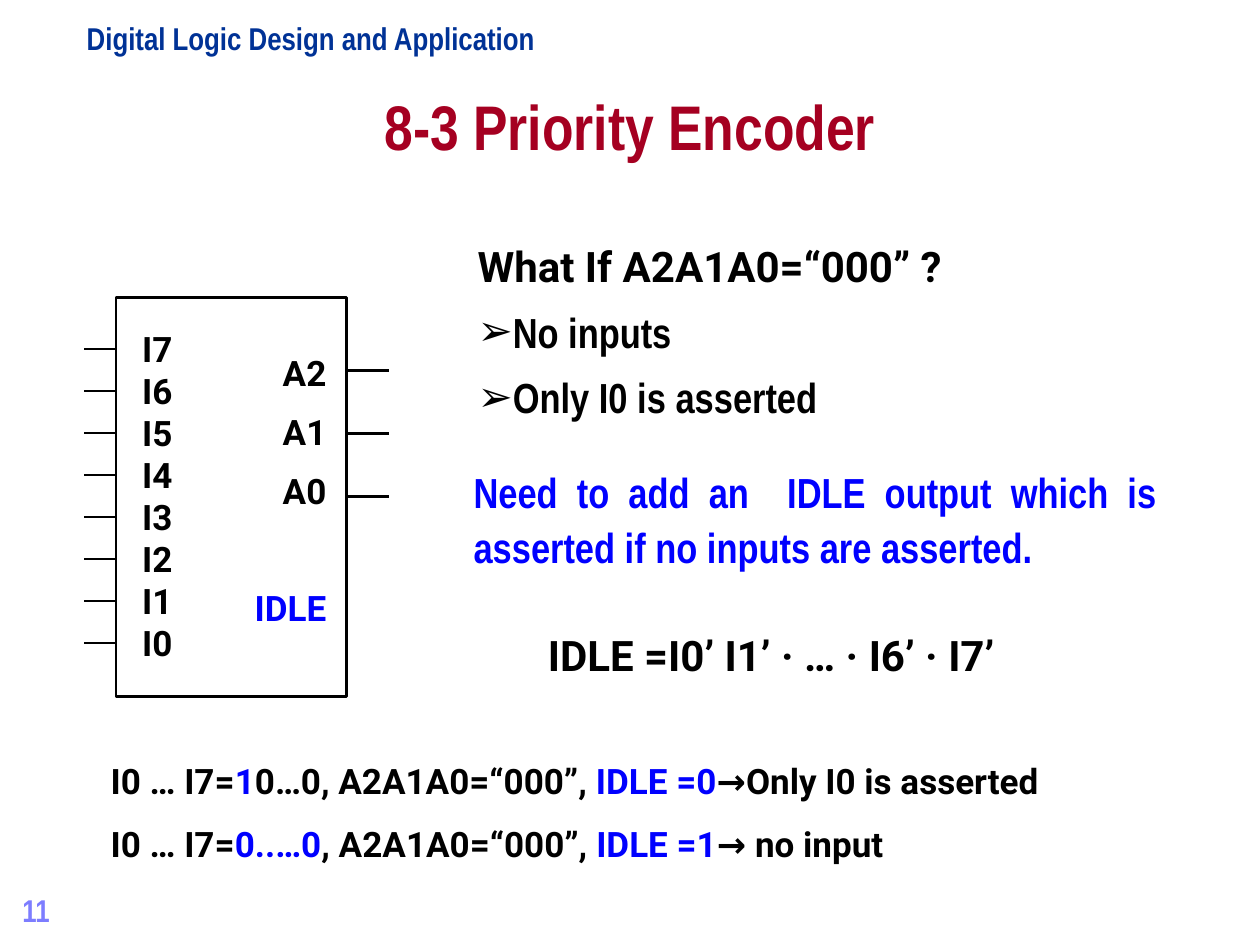
from lxml import etree
from pptx import Presentation
from pptx.dml.color import RGBColor
from pptx.enum import shapes, text
from pptx.oxml.ns import qn
from pptx.util import Inches, Pt

THEME = {
    "narrow": "Arial Narrow", "wide": "Roboto",
    "black": "000000", "blue": "0000FF", "navy": "003296",
    "red": "A50021", "lilac": "7D7DFF",
    "title": 36, "lead": 24, "label": 20, "small": 18, "line": 1.5,
}
ALIGN = text.PP_ALIGN

# Each paragraph is a list of (text, colour) runs.
TITLE = [[("8-3 Priority Encoder", "red")]]
COURSE = [[("Digital Logic Design and Application", "navy")]]
PAGE = [[("11", "lilac")]]
QUESTION = [[("What If A2A1A0=“000” ?", "black")]]
CASES = [[("No inputs", "black")], [("Only I0 is asserted", "black")]]
NEED = [[("Need to add an  IDLE output which is asserted if no inputs are asserted.", "blue")]]
EQUATION = [[("IDLE =I0’ I1’ · … · I6’ · I7’", "black")]]
RESULTS = [
    [("I0 … I7=", "black"), ("1", "blue"), ("0…0, A2A1A0=“000”, ", "black"),
     ("IDLE =0", "blue"), ("→Only I0 is asserted", "black")],
    [("I0 … I7=", "black"), ("0..…0", "blue"), (", A2A1A0=“000”, ", "black"),
     ("IDLE =1", "blue"), ("→ no input", "black")],
]
INPUTS = [[(f"I{i}", "black")] for i in range(7, -1, -1)]
OUTPUTS = [[(f"A{i}", "black")] for i in range(2, -1, -1)]
IDLE = [[("IDLE", "blue")]]

# Encoder block: left, top, width, height, then pin rows
BLOCK = (0.92, 2.36, 1.83, 3.17)
BLOCK_RIGHT = BLOCK[0] + BLOCK[2]
INPUT_PINS = {"count": len(INPUTS), "top": 2.77, "pitch": 1 / 3,
              "start": BLOCK[0] - 0.25, "end": BLOCK[0]}
OUTPUT_PINS = {"count": len(OUTPUTS), "top": 2.94, "pitch": 0.5,
               "start": BLOCK_RIGHT, "end": BLOCK_RIGHT + 0.34}


def color(name):
    return RGBColor.from_string(THEME[name])


def apply(target, values):
    for name, value in values.items():
        setattr(target, name, value)


def place(shape, box):
    apply(shape, dict(zip(("left", "top", "width", "height"), map(Inches, box))))


def write(frame, paragraphs, font, size, **layout):
    """Append paragraphs to a frame, filling its empty first one."""
    for runs in paragraphs:
        paragraph = frame.paragraphs[0] if not frame.text else frame.add_paragraph()
        apply(paragraph, {"alignment": ALIGN.LEFT, "space_before": Pt(0), **layout})
        for words, tint in runs:
            run = paragraph.add_run()
            run.text = words
            apply(run.font, {"name": THEME[font], "size": Pt(THEME[size]), "bold": True})
            run.font.color.rgb = color(tint)


def set_bullet(paragraph, character=None):
    properties = paragraph._p.get_or_add_pPr()
    properties.set("marL", "0")
    properties.set("indent", "0")
    if character:
        etree.SubElement(properties, qn("a:buChar"), char=character)
    else:
        etree.SubElement(properties, qn("a:buNone"))


def add_text(slide, box, paragraphs, font, size, wrap=True,
             anchor=text.MSO_ANCHOR.TOP, **layout):
    shape = slide.shapes.add_textbox(*map(Inches, box))
    apply(shape.text_frame, {"word_wrap": wrap, "vertical_anchor": anchor})
    write(shape.text_frame, paragraphs, font, size, **layout)
    return shape.text_frame


def fill_placeholder(shape, box, anchor):
    place(shape, box)
    apply(shape.text_frame, {"word_wrap": True, "vertical_anchor": anchor,
                             "auto_size": text.MSO_AUTO_SIZE.NONE})
    return shape.text_frame


def add_pins(slide, count, top, pitch, start, end):
    for row in range(count):
        y = Inches(top + row * pitch)
        pin = slide.shapes.add_connector(
            shapes.MSO_CONNECTOR.STRAIGHT, Inches(start), y, Inches(end), y)
        pin.line.color.rgb = color("black")
        pin.line.width = Pt(THEME["line"])
        etree.SubElement(pin._element.spPr, qn("a:effectLst"))


def add_encoder(slide):
    block = slide.shapes.add_shape(shapes.MSO_SHAPE.RECTANGLE, *map(Inches, BLOCK))
    block.shadow.inherit = False
    block.fill.background()
    block.line.color.rgb = color("black")
    block.line.width = Pt(THEME["line"])
    right = {"alignment": ALIGN.RIGHT, "line_spacing": 1.4}
    frame = add_text(slide, (1.86, 2.61, 0.83, 2.44), OUTPUTS, "wide", "label",
                     wrap=False, **right)
    write(frame, IDLE, "wide", "label", **{**right, "space_before": Pt(33.4)})
    add_text(slide, (1.03, 2.55, 0.46, 2.77), INPUTS, "wide", "label", wrap=False)
    for pins in (INPUT_PINS, OUTPUT_PINS):
        add_pins(slide, **pins)


def main():
    presentation = Presentation()
    apply(presentation, {"slide_width": Inches(10), "slide_height": Inches(7.5)})
    slide = presentation.slides.add_slide(presentation.slide_layouts[1])
    title, body = slide.placeholders

    add_text(slide, (0.59, 0.1, 3.76, 0.4), COURSE, "narrow", "small", wrap=False)
    add_text(slide, (0.08, 6.92, 2.08, 0.5), PAGE, "narrow", "small",
             anchor=text.MSO_ANCHOR.BOTTOM)
    frame = fill_placeholder(title, (0, 0.6, 10, 0.79), text.MSO_ANCHOR.MIDDLE)
    write(frame, TITLE, "narrow", "title", alignment=ALIGN.CENTER)

    add_encoder(slide)

    frame = fill_placeholder(body, (3.69, 1.74, 4.77, 1.66), text.MSO_ANCHOR.TOP)
    write(frame, QUESTION, "wide", "lead", line_spacing=1.3)
    write(frame, CASES, "narrow", "lead", line_spacing=1.3)
    question, *cases = frame.paragraphs
    set_bullet(question)
    for case in cases:
        set_bullet(case, "➢")

    add_text(slide, (3.66, 3.61, 5.62, 0.98), NEED, "narrow", "lead",
             alignment=ALIGN.JUSTIFY, line_spacing=1.1)
    add_text(slide, (4.25, 4.95, 4.06, 0.5), EQUATION, "wide", "lead", wrap=False)
    add_text(slide, (0.78, 5.81, 9.06, 1.1), RESULTS, "wide", "label", line_spacing=1.5)
    presentation.save("out.pptx")


if __name__ == "__main__":
    main()
